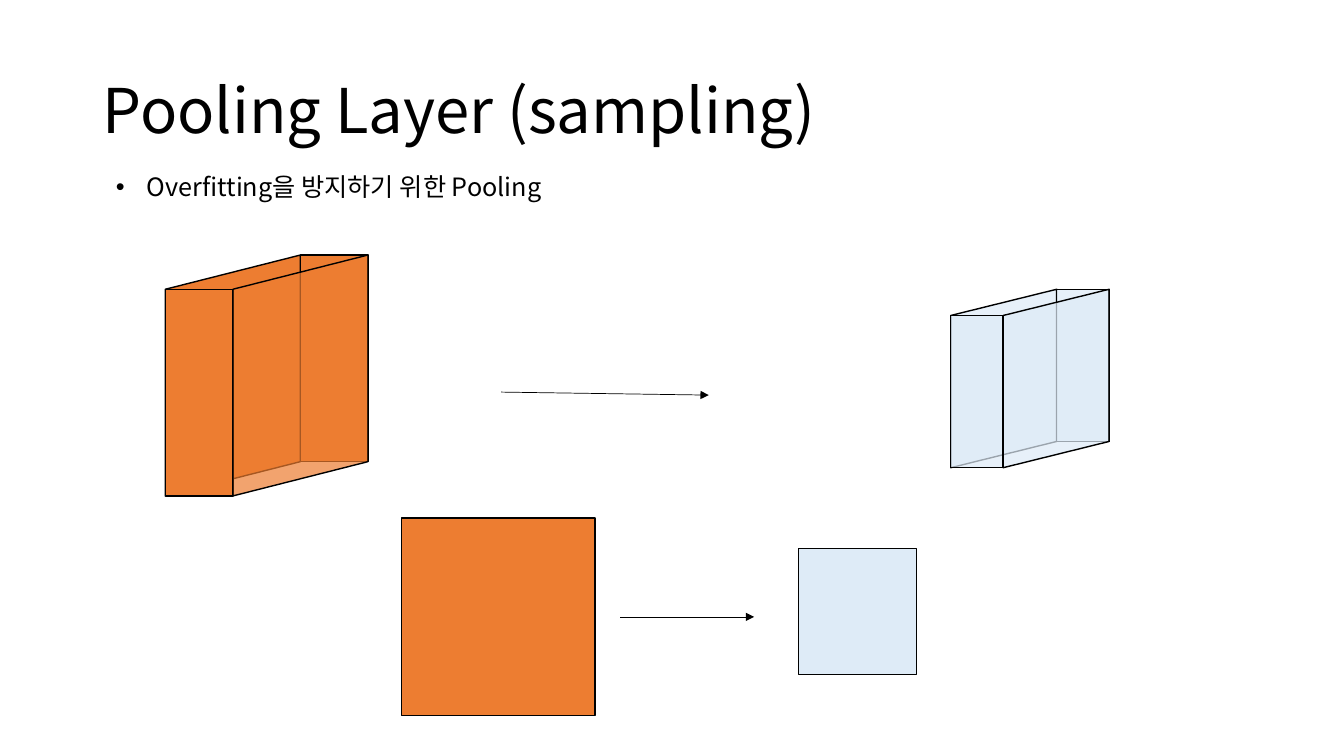
from dataclasses import dataclass

from lxml.etree import SubElement
from pptx import Presentation
from pptx.dml.color import RGBColor
from pptx.enum.shapes import MSO_CONNECTOR as Connector, MSO_SHAPE as Preset
from pptx.enum.text import MSO_ANCHOR as Anchor, MSO_AUTO_SIZE as AutoSize, PP_ALIGN as Align
from pptx.oxml.ns import qn
from pptx.util import Inches, Pt


@dataclass(frozen=True)
class Theme:
    font: str = "Noto Sans CJK KR"
    black: RGBColor = RGBColor(0x00, 0x00, 0x00)
    orange: RGBColor = RGBColor(0xED, 0x7D, 0x31)
    pale_blue: RGBColor = RGBColor(0xDE, 0xEB, 0xF7)
    title_size: int = 44
    body_size: int = 18
    outline: float = 1
    arrow_line: float = 0.5


@dataclass(frozen=True)
class Box:
    left: float
    top: float
    width: float
    height: float

    def inches(self) -> list:
        return [Inches(value) for value in (self.left, self.top, self.width, self.height)]


@dataclass(frozen=True)
class Square:
    box: Box
    color: RGBColor


@dataclass(frozen=True)
class Cuboid:
    """A hollow block: its front face, and the shift from front to back."""
    front: Box
    depth: float
    rise: float
    color: RGBColor
    opacity: int
    near_opacity: int


@dataclass(frozen=True)
class Arrow:
    start: tuple[float, float]
    end: tuple[float, float]


THEME = Theme()
TITLE_BOX = Box(0.92, 0.4, 11.5, 1.45)
BULLET_BOX = Box(1.05, 1.65, 6.43, 0.4)
BULLET_INDENT = 0.31
CUBOIDS = (
    Cuboid(Box(1.64, 2.87, 0.67, 2.05), 1.34, 0.34, THEME.orange, 100, 70),
    Cuboid(Box(9.43, 3.13, 0.52, 1.51), 1.05, 0.26, THEME.pale_blue, 70, 70),
)
SQUARES = (
    Square(Box(3.98, 5.14, 1.92, 1.96), THEME.orange),
    Square(Box(7.92, 5.44, 1.17, 1.25), THEME.pale_blue),
)
ARROWS = (
    Arrow((4.97, 3.89), (7.03, 3.92)),
    Arrow((6.15, 6.12), (7.48, 6.12)),
)


def format_text(paragraph, size: int) -> None:
    for run in paragraph.runs:
        run.font.size = Pt(size)
        run.font.name = THEME.font
        run.font.color.rgb = THEME.black
        SubElement(run.font._element, qn("a:ea")).set("typeface", THEME.font)


def add_face(shapes, preset: Preset, box: Box, color: RGBColor, opacity: int = 100):
    face = shapes.add_shape(preset, *box.inches())
    face.shadow.inherit = False
    face.fill.solid()
    face.fill.fore_color.rgb = color
    if opacity < 100:
        color_element = face.fill._xPr.find(qn("a:solidFill"))[0]
        SubElement(color_element, qn("a:alpha")).set("val", str(opacity * 1000))
    face.line.color.rgb = THEME.black
    face.line.width = Pt(THEME.outline)
    return face


def add_side(shapes, cuboid: Cuboid, left: float, opacity: int) -> None:
    """Add a slanted side: a parallelogram turned upright about its centre."""
    front = cuboid.front
    length = front.height + cuboid.rise
    center_x = left + cuboid.depth / 2
    center_y = front.top - cuboid.rise + length / 2
    box = Box(center_x - length / 2, center_y - cuboid.depth / 2, length, cuboid.depth)
    side = add_face(shapes, Preset.PARALLELOGRAM, box, cuboid.color, opacity)
    side.adjustments[0] = cuboid.rise / cuboid.depth
    side.rotation = 270
    side._element.spPr.find(qn("a:xfrm")).set("flipH", "1")


def add_cuboid(slide, cuboid: Cuboid) -> None:
    shapes = slide.shapes.add_group_shape().shapes
    front = cuboid.front
    back = Box(front.left + cuboid.depth, front.top - cuboid.rise, front.width, front.height)
    add_side(shapes, cuboid, front.left, cuboid.opacity)
    for box in (front, back):
        add_face(shapes, Preset.RECTANGLE, box, cuboid.color, cuboid.opacity)
    add_side(shapes, cuboid, front.left + front.width, cuboid.near_opacity)


def add_arrow(slide, arrow: Arrow) -> None:
    ends = [Inches(value) for value in (*arrow.start, *arrow.end)]
    connector = slide.shapes.add_connector(Connector.STRAIGHT, *ends)
    connector.line.color.rgb = THEME.black
    connector.line.width = Pt(THEME.arrow_line)
    SubElement(connector.line._get_or_add_ln(), qn("a:tailEnd")).set("type", "triangle")
    SubElement(connector._element.spPr, qn("a:effectLst"))


def set_title(slide, text: str) -> None:
    title = slide.shapes.title
    title.left, title.top, title.width, title.height = TITLE_BOX.inches()
    text_frame = title.text_frame
    text_frame.text = text
    text_frame.auto_size = AutoSize.NONE
    text_frame.vertical_anchor = Anchor.MIDDLE
    paragraph = text_frame.paragraphs[0]
    paragraph.alignment = Align.LEFT
    paragraph.line_spacing = 0.9
    format_text(paragraph, THEME.title_size)


def add_bullet(slide, text: str) -> None:
    text_frame = slide.shapes.add_textbox(*BULLET_BOX.inches()).text_frame
    text_frame.word_wrap = True
    text_frame.auto_size = AutoSize.SHAPE_TO_FIT_TEXT
    text_frame.text = text
    paragraph = text_frame.paragraphs[0]
    format_text(paragraph, THEME.body_size)
    properties = paragraph._p.get_or_add_pPr()
    properties.set("marL", str(Inches(BULLET_INDENT)))
    properties.set("indent", str(-Inches(BULLET_INDENT)))
    SubElement(properties, qn("a:buFont")).set("typeface", "Arial")
    SubElement(properties, qn("a:buChar")).set("char", "•")


def main() -> None:
    presentation = Presentation()
    presentation.slide_width = Inches(13.33)
    presentation.slide_height = Inches(7.5)
    title_only = presentation.slide_layouts[5]
    slide = presentation.slides.add_slide(title_only)

    set_title(slide, "Pooling Layer (sampling)")
    for cuboid in CUBOIDS:
        add_cuboid(slide, cuboid)
    for square in SQUARES:
        add_face(slide.shapes, Preset.RECTANGLE, square.box, square.color)
    for arrow in ARROWS:
        add_arrow(slide, arrow)
    add_bullet(slide, "Overfitting을 방지하기 위한 Pooling")

    presentation.save("out.pptx")


if __name__ == "__main__":
    main()
